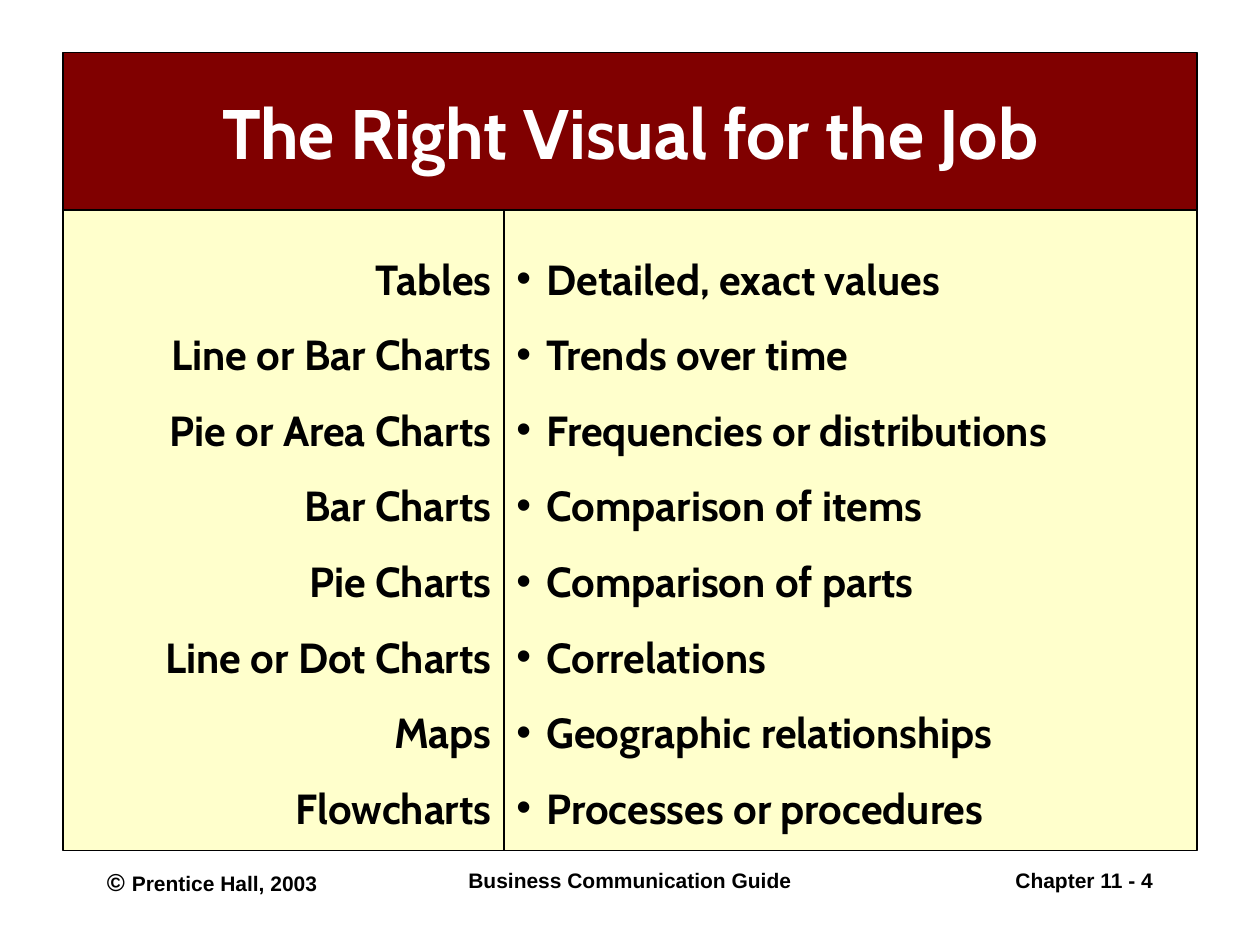
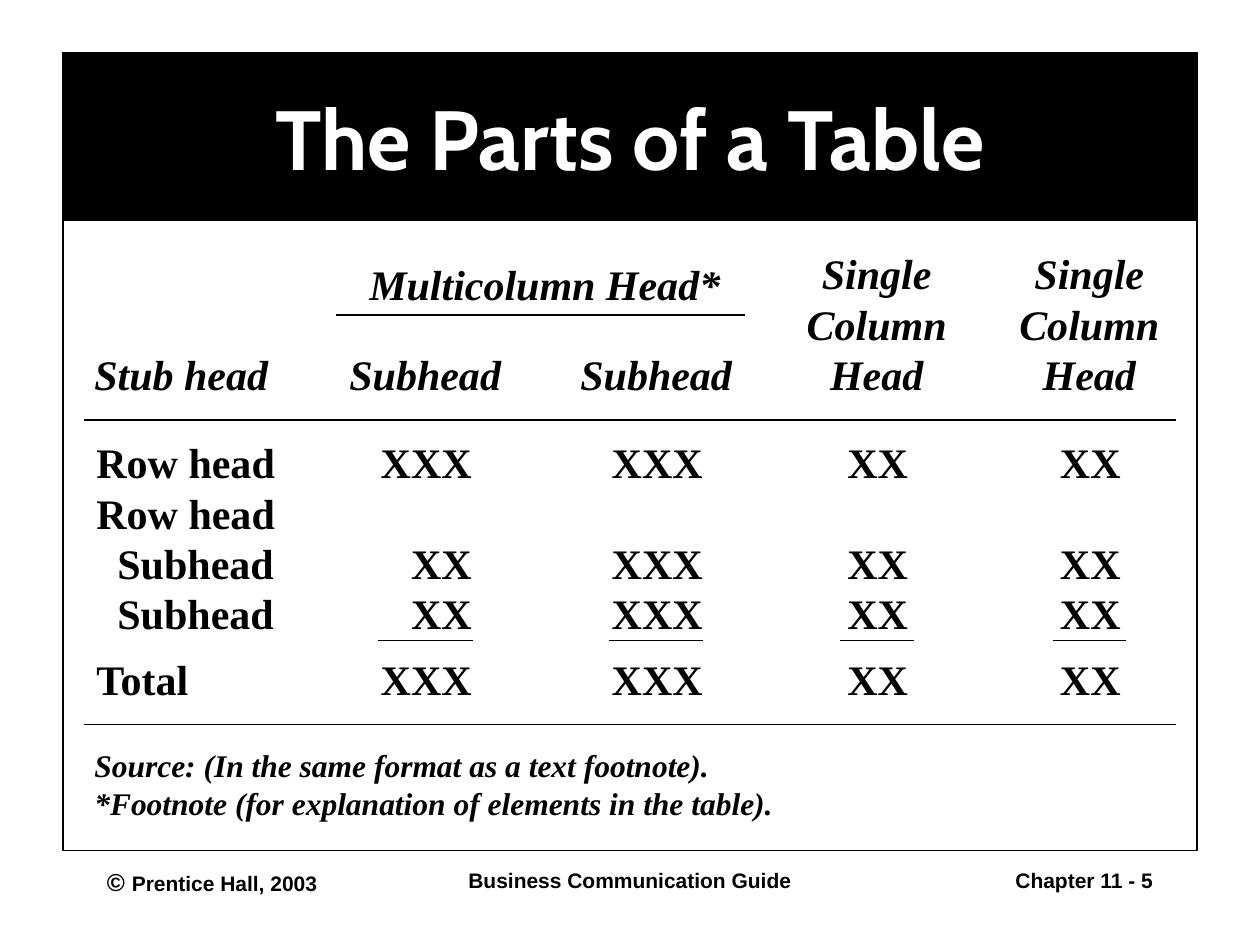
from dataclasses import dataclass

from lxml import etree
from pptx import Presentation
from pptx.dml.color import RGBColor
from pptx.enum.shapes import MSO_CONNECTOR, MSO_SHAPE
from pptx.enum.text import MSO_ANCHOR, PP_ALIGN
from pptx.oxml.ns import qn
from pptx.util import Emu, Inches, Pt

LEFT, CENTER, RIGHT = PP_ALIGN.LEFT, PP_ALIGN.CENTER, PP_ALIGN.RIGHT
TOP, MIDDLE, BOTTOM = MSO_ANCHOR.TOP, MSO_ANCHOR.MIDDLE, MSO_ANCHOR.BOTTOM
RECTANGLE, STRAIGHT = MSO_SHAPE.RECTANGLE, MSO_CONNECTOR.STRAIGHT

COLUMNS, ROWS = 120, 90
CELL = Inches(10) / COLUMNS


@dataclass(frozen=True)
class Style:
    font: str
    size: int
    color: RGBColor
    italic: bool = False


@dataclass(frozen=True)
class Theme:
    black = RGBColor(0, 0, 0)
    white = RGBColor(255, 255, 255)
    maroon = RGBColor(0x80, 0, 0)
    cream = RGBColor(0xFF, 0xFF, 0xCC)
    title = Style("Cabin", 40, white)
    big_title = Style("Cabin", 48, white)
    guide = Style("Cabin", 24, black)
    footer = Style("Arial", 12, black)
    copyright_sign = Style("Arial", 14, black)
    head = Style("Times New Roman", 24, black, True)
    entry = Style("Times New Roman", 24, black)
    note = Style("Times New Roman", 18, black, True)
    outline = 0.75
    rule = 1
    row_gap = Pt(28.8)
    indent = Pt(12)
    bullet_indent = Inches(0.24)


THEME = Theme()


@dataclass(frozen=True)
class Box:
    left: float
    top: float
    width: float
    height: float

    def inner(self, left, top, width, height):
        return Box(self.left + left, self.top + top, width, height)

    def emu(self):
        return [Emu(round(n * CELL)) for n in (self.left, self.top, self.width, self.height)]


@dataclass(frozen=True)
class DataColumn:
    center: float
    heading: tuple
    values: tuple
    rule_width: float


PAGE = Box(0, 0, COLUMNS, ROWS)

VISUALS = [
    ("Tables", "Detailed, exact values"),
    ("Line or Bar Charts", "Trends over time"),
    ("Pie or Area Charts", "Frequencies or distributions"),
    ("Bar Charts", "Comparison of items"),
    ("Pie Charts", "Comparison of parts"),
    ("Line or Dot Charts", "Correlations"),
    ("Maps", "Geographic relationships"),
    ("Flowcharts", "Processes or procedures"),
]

SINGLE_HEAD = ("Single", "Column", "Head")
DATA_COLUMNS = [
    DataColumn(34.5, ("Subhead",), ("XXX", "XX", "XX", "XXX"), 9),
    DataColumn(56.5, ("Subhead",), ("XXX",) * 4, 9),
    DataColumn(77.5, SINGLE_HEAD, ("XX",) * 4, 7),
    DataColumn(97.75, SINGLE_HEAD, ("XX",) * 4, 7),
]


def add_run(paragraph, text, style):
    run = paragraph.add_run()
    run.text = text
    run.font.name = style.font
    run.font.size = Pt(style.size)
    run.font.bold = True
    run.font.italic = style.italic
    run.font.color.rgb = style.color


def write(shape, lines, align=LEFT, anchor=TOP, spacing=None):
    frame = shape.text_frame
    frame.word_wrap = True
    frame.vertical_anchor = anchor
    for index, runs in enumerate(lines):
        paragraph = frame.add_paragraph() if index else frame.paragraphs[0]
        paragraph.alignment = align
        if spacing:
            paragraph.line_spacing = spacing
        for text, style in runs:
            add_run(paragraph, text, style)
    return frame.paragraphs


def styled(texts, style):
    return [[(text, style)] for text in texts]


def add_text(slide, box, lines, align=LEFT, anchor=TOP):
    return write(slide.shapes.add_textbox(*box.emu()), lines, align, anchor)


def add_panel(slide, box, fill):
    panel = slide.shapes.add_shape(RECTANGLE, *box.emu())
    panel.shadow.inherit = False
    panel.fill.solid()
    panel.fill.fore_color.rgb = fill
    panel.line.color.rgb = THEME.black
    panel.line.width = Pt(THEME.outline)
    return panel


def add_rule(slide, box, left, top, width, weight=THEME.rule):
    x, y, length, _ = box.inner(left, top, width, 0).emu()
    rule = slide.shapes.add_connector(STRAIGHT, x, y, x + length, y)
    rule.line.color.rgb = THEME.black
    rule.line.width = Pt(weight)
    etree.SubElement(rule._element.spPr, qn("a:effectLst"))


def indent(paragraph, amount, bullet=None):
    properties = paragraph._p.get_or_add_pPr()
    properties.set("marL", str(amount))
    if bullet:
        properties.set("indent", str(-amount))
        etree.SubElement(properties, qn("a:buFont"), typeface="Arial")
        etree.SubElement(properties, qn("a:buChar"), char=bullet)


def add_footer(slide, box, number):
    add_text(slide, box.inner(0, 0, 25, 6),
             [[("© ", THEME.copyright_sign), ("Prentice Hall, 2003", THEME.footer)]])
    add_text(slide, box.inner(32, 0, 38, 6),
             styled(["Business Communication Guide"], THEME.footer), CENTER)
    add_text(slide, box.inner(77, 0, 25, 6),
             styled([f"Chapter 11 - {number}"], THEME.footer), RIGHT)


def add_title(slide, box, text, style, fill):
    write(add_panel(slide, box, fill), styled([text], style), CENTER, MIDDLE)


def add_visual_guide(slide, box):
    split = 42
    visuals, purposes = zip(*VISUALS)
    purpose_panel = add_panel(
        slide, box.inner(split, 0, box.width - split, box.height), THEME.cream)
    for paragraph in write(purpose_panel, styled(purposes, THEME.guide), LEFT, MIDDLE, 1.5):
        indent(paragraph, THEME.bullet_indent, "•")
    visual_panel = add_panel(slide, box.inner(0, 0, split, box.height), THEME.cream)
    write(visual_panel, styled(visuals, THEME.guide), RIGHT, MIDDLE, 1.5)


def add_data_column(slide, box, column):
    head_width = 18
    add_text(slide, box.inner(column.center - head_width / 2, 2, head_width, 15.6),
             styled(column.heading, THEME.head), CENTER, BOTTOM)
    values_width = 2.9 * len(column.values[0]) + 2.5
    values = add_text(slide, box.inner(column.center - values_width / 2, 20, values_width, 26.6),
                      styled(column.values, THEME.entry), RIGHT)
    values[1].space_before = THEME.row_gap
    values[-1].line_spacing = 1.3
    add_rule(slide, box, column.center - column.rule_width / 2, 40, column.rule_width)


def add_table_anatomy(slide, box):
    add_panel(slide, box, THEME.white)
    add_text(slide, box.inner(1.8, 2, 20, 15.6),
             styled(["Stub head"], THEME.head), LEFT, BOTTOM)
    row_heads = add_text(
        slide, box.inner(2, 20, 20, 26.6),
        styled(["Row head", "Row head", "Subhead", "Subhead", "Total"], THEME.entry))
    for subhead in row_heads[2:4]:
        indent(subhead, THEME.indent)
    row_heads[-1].line_spacing = 1.3
    add_text(slide, box.inner(26, 3, 39.8, 6),
             styled(["Multicolumn Head*"], THEME.head), CENTER)
    add_rule(slide, box, 26, 9, 39, THEME.outline)
    for column in DATA_COLUMNS:
        add_data_column(slide, box, column)
    for top in (19, 48):
        add_rule(slide, box, 2, top, box.width - 4)
    add_text(slide, box.inner(1.8, 49.5, 70, 8.4),
             styled(["Source: (In the same format as a text footnote).",
                     "*Footnote (for explanation of elements in the table)."], THEME.note))


def add_page(deck, number, title, style, fill, title_height, add_body):
    slide = deck.slides.add_slide(deck.slide_layouts[6])
    add_footer(slide, PAGE.inner(9, 82, 102, 6), number)
    add_body(slide, PAGE.inner(6, 5 + title_height, 108, 76 - title_height))
    add_title(slide, PAGE.inner(6, 5, 108, title_height), title, style, fill)


def main():
    deck = Presentation()
    deck.slide_width = Inches(10)
    deck.slide_height = Inches(7.5)
    add_page(deck, 4, "The Right Visual for the Job",
             THEME.title, THEME.maroon, 15, add_visual_guide)
    add_page(deck, 5, "The Parts of a Table",
             THEME.big_title, THEME.black, 16, add_table_anatomy)
    deck.save("out.pptx")


if __name__ == "__main__":
    main()
